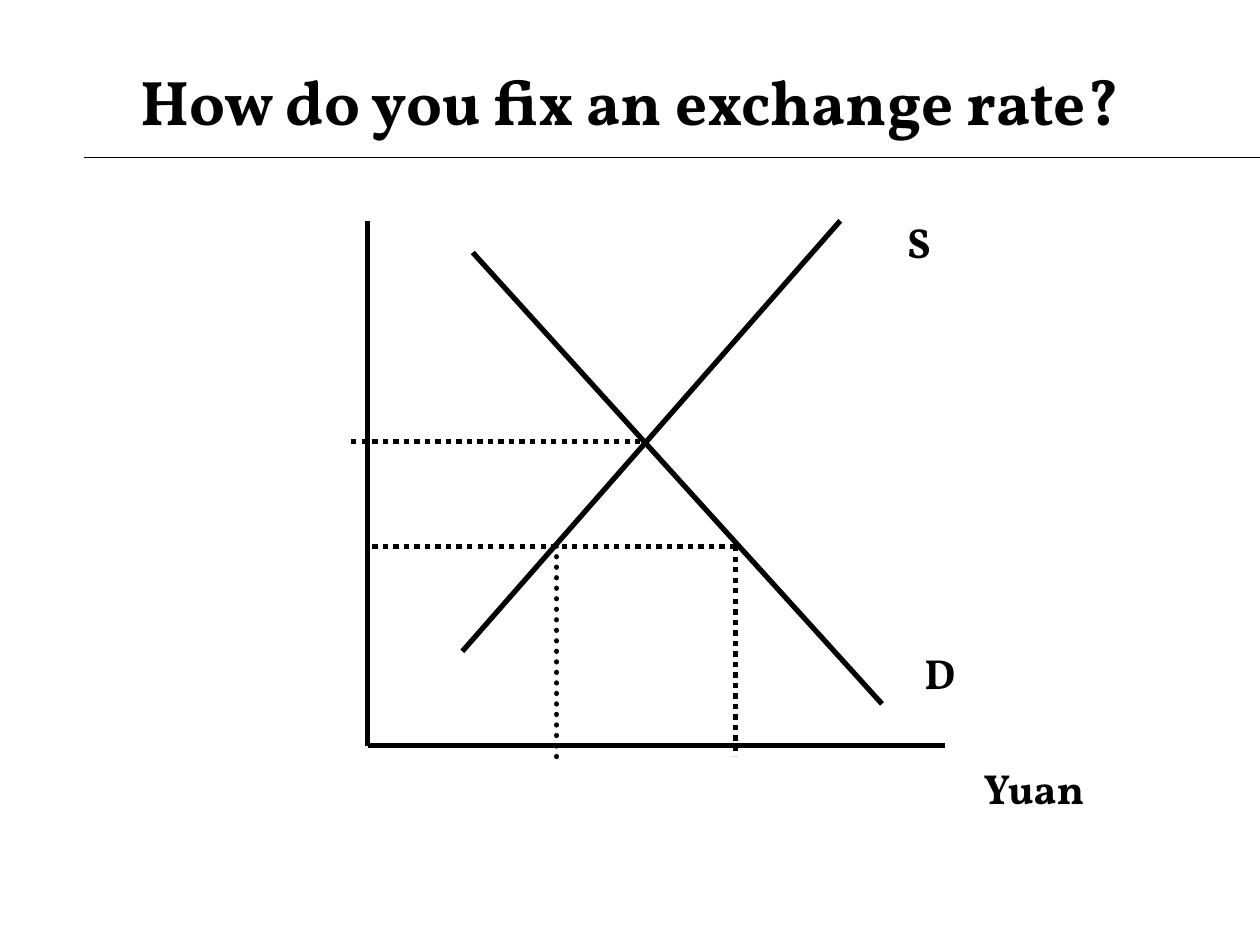
from dataclasses import dataclass

from lxml import etree
from pptx import Presentation
from pptx.dml.color import RGBColor
from pptx.enum.dml import MSO_LINE
from pptx.enum.shapes import MSO_CONNECTOR
from pptx.enum.text import MSO_ANCHOR, PP_ALIGN
from pptx.oxml.ns import qn
from pptx.util import Cm, Pt

STRAIGHT = MSO_CONNECTOR.STRAIGHT
DOTTED = MSO_LINE.ROUND_DOT
CENTER = PP_ALIGN.CENTER
TOP, MIDDLE = MSO_ANCHOR.TOP, MSO_ANCHOR.MIDDLE


@dataclass(frozen=True)
class Theme:
    font: str = "Vollkorn"
    ink: RGBColor = RGBColor(0, 0, 0)
    title: float = 36
    label: float = 24
    rule: float = 0.75
    curve: float = 3


THEME = Theme()


def add_text(s, text, *, x, y, w, h, size=THEME.label, anchor=TOP):
    tf = s.shapes.add_textbox(Cm(x), Cm(y), Cm(w), Cm(h)).text_frame
    tf.word_wrap = True
    tf.vertical_anchor = anchor
    p = tf.paragraphs[0]
    p.alignment = CENTER
    r = p.add_run()
    r.text = text
    r.font.name = THEME.font
    r.font.size = Pt(size)
    r.font.bold = True
    r.font.color.rgb = THEME.ink


def add_line(s, start, end, *, width=THEME.curve, dotted=False, cap="flat"):
    c = s.shapes.add_connector(STRAIGHT, *(Cm(v) for v in (*start, *end)))
    c.line.color.rgb = THEME.ink
    c.line.width = Pt(width)
    if dotted:
        c.line.dash_style = DOTTED
    sp_pr = c._element.spPr
    sp_pr.find(qn("a:ln")).set("cap", cap)
    etree.SubElement(sp_pr, qn("a:effectLst"))


def add_header(s, x, y, w, h):
    right, bottom = x + w + 1.27, y + h
    for indent in (0.43, 1.91):
        add_line(s, (x + indent, bottom), (right, bottom), width=THEME.rule)
    add_text(s, "How do you fix an exchange rate?", x=x, y=y, w=w, h=h,
             size=THEME.title, anchor=MIDDLE)


def add_market_diagram(s, x, y, w, h):
    def at(dx, dy):
        return x + dx, y + dy

    market_rate, fixed_rate = 4.45, 6.56
    market_quantity, supplied, demanded = 5.5, 3.81, 7.41

    axes = [((0, 0), (0, h)), ((0, h), (w, h))]
    demand = ((2.12, 0.64), (10.37, 9.74))
    supply = ((1.91, 8.68), (9.53, 0))
    for start, end in (*axes, demand, supply):
        add_line(s, at(*start), at(*end))

    guides = [
        ((market_quantity, market_rate), (-0.42, market_rate), "flat"),
        ((demanded, fixed_rate), (0, fixed_rate), "flat"),
        ((supplied, fixed_rate), (supplied, h + 0.42), "rnd"),
        ((demanded, fixed_rate), (demanded, h + 0.22), "flat"),
    ]
    for start, end, cap in guides:
        add_line(s, at(*start), at(*end), dotted=True, cap=cap)

    labels = [("D", 10.37, 8.47, 2.33), ("S", 9.95, -0.21, 2.33),
              ("Yuan", 11.21, h + 0.22, 4.45)]
    for text, dx, dy, width in labels:
        add_text(s, text, x=x + dx, y=y + dy, w=width, h=1.27)


def main():
    prs = Presentation()
    prs.slide_width, prs.slide_height = Cm(25.4), Cm(19.05)
    s = prs.slides.add_slide(prs.slide_layouts[6])
    add_header(s, 1.27, 0.85, 22.86, 2.33)
    add_market_diagram(s, 7.41, 4.45, 11.64, 10.58)
    prs.save("out.pptx")


if __name__ == "__main__":
    main()
